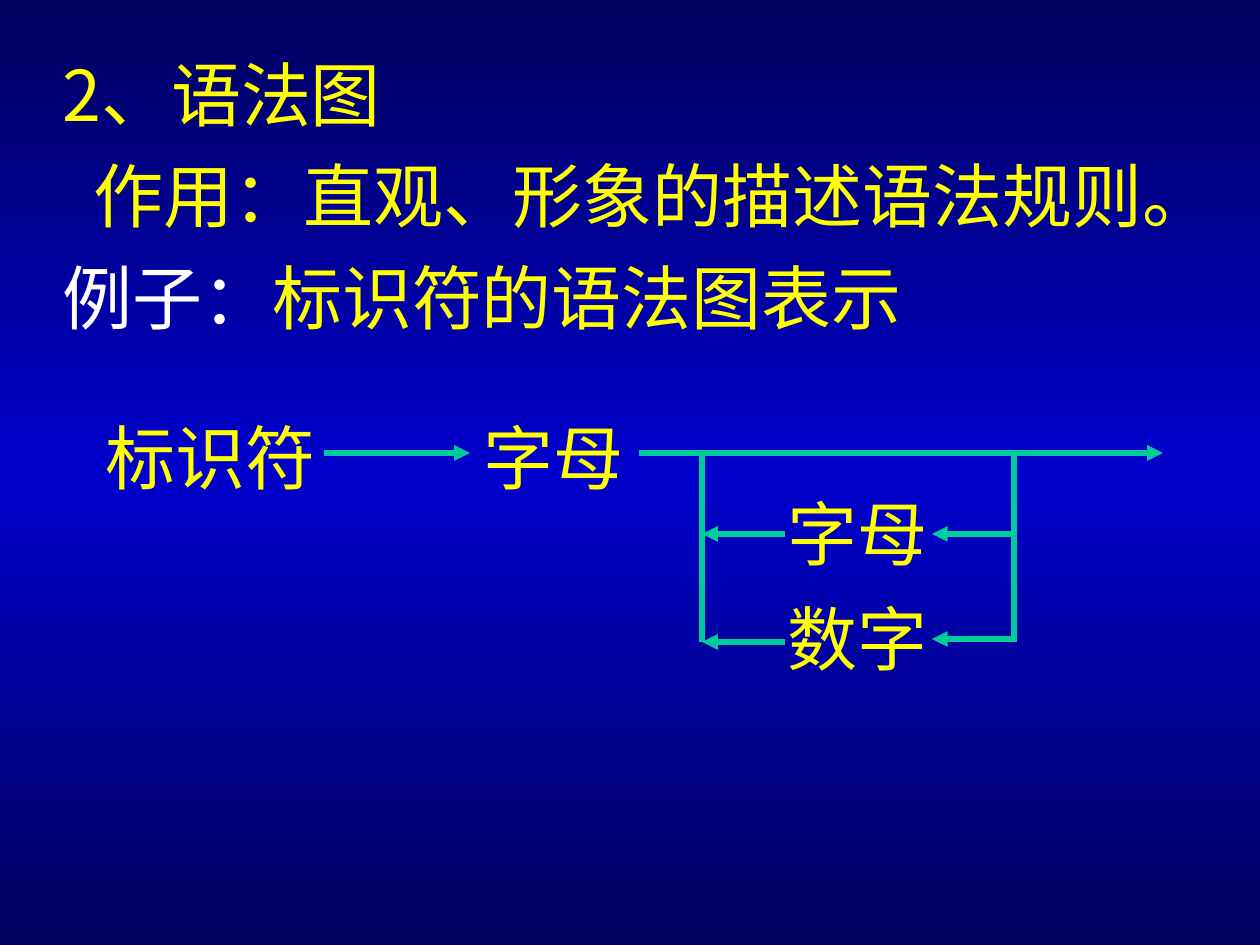
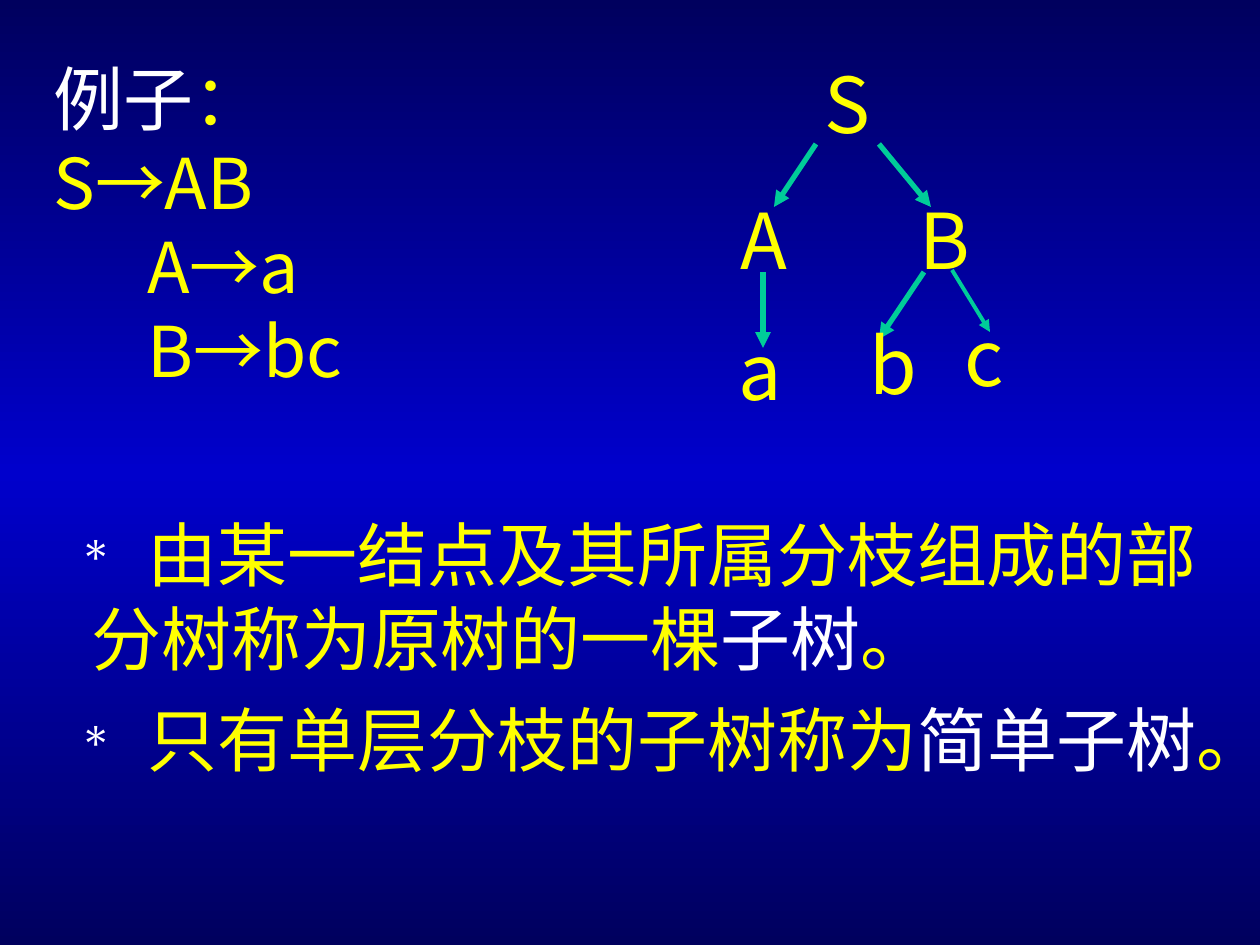
import copy

import pptx
import pptx.dml.color
import pptx.enum.shapes
import pptx.enum.text
import pptx.oxml
import pptx.oxml.ns
import pptx.util

PX = 914400 / 126
COLORS = {"edge": "00005E", "middle": "0000CC", "text": "FFFF00",
          "accent": "FFFFFF", "line": "00CC99"}
SANS, SERIF = "Noto Sans CJK SC", "Times New Roman"
RULE_SPACING = {"space_before": pptx.util.Pt(5), "space_after": pptx.util.Pt(5)}


def px(value):
    return pptx.util.Emu(round(value * PX))


def rgb(name):
    return pptx.dml.color.RGBColor.from_string(COLORS[name])


def apply(target, values):
    for name, value in values.items():
        setattr(target, name, value)


def paint_background(master):
    fill = master.background.fill
    fill.gradient()
    fill.gradient_angle = 270
    stop_list = master.element.find(".//" + pptx.oxml.ns.qn("a:gsLst"))
    stop_list.append(copy.deepcopy(stop_list[0]))
    steps = ((0, "edge"), (0.5, "middle"), (1, "edge"))
    for stop, (position, color) in zip(fill.gradient_stops, steps):
        stop.position = position
        stop.color.rgb = rgb(color)


def add_text(slide, box, paragraphs, size=40, font=SANS, wrap=True, spacing=None):
    """Write paragraphs, each a list of (text, color name) runs."""
    shape = slide.shapes.add_textbox(*map(px, box))
    frame = shape.text_frame
    apply(frame, {"word_wrap": wrap,
                  "vertical_anchor": pptx.enum.text.MSO_ANCHOR.TOP})
    for index, runs in enumerate(paragraphs):
        paragraph = frame.add_paragraph() if index else frame.paragraphs[0]
        apply(paragraph, spacing or {})
        for text, color in runs:
            run = paragraph.add_run()
            run.text = text
            apply(run.font, {"size": pptx.util.Pt(size), "name": font})
            run.font.color.rgb = rgb(color)
    return frame


def indent(paragraph, margin, first_line=0):
    properties = paragraph._p.get_or_add_pPr()
    properties.set("marL", str(px(margin)))
    properties.set("indent", str(px(first_line)))
    return properties


def add_bullet(paragraph):
    """Add a small white asterisk and widen the space that follows it."""
    properties = indent(paragraph, 30, -12)
    namespace = pptx.oxml.ns.nsdecls("a")
    for xml in (f'<a:buClr {namespace}><a:srgbClr val="{COLORS["accent"]}"/></a:buClr>',
                f'<a:buSzPct {namespace} val="65000"/>',
                f'<a:buChar {namespace} char="∗"/>'):
        properties.append(pptx.oxml.parse_xml(xml))
    paragraph.runs[0]._r.get_or_add_rPr().set("spc", "1140")


def add_line(slide, origin, start, end, arrow=True, width=3):
    left, top = origin
    connector = slide.shapes.add_connector(
        pptx.enum.shapes.MSO_CONNECTOR.STRAIGHT,
        px(left + start[0]), px(top + start[1]), px(left + end[0]), px(top + end[1]))
    connector.line.width = pptx.util.Pt(width)
    connector.line.color.rgb = rgb("line")
    namespace = pptx.oxml.ns.nsdecls("a")
    if arrow:
        connector.line._get_or_add_ln().append(
            pptx.oxml.parse_xml(f'<a:tailEnd {namespace} type="triangle"/>'))
    connector._element.spPr.append(pptx.oxml.parse_xml(f"<a:effectLst {namespace}/>"))


def add_syntax_diagram(slide, origin):
    """Draw the identifier rule: one letter, then looped letters or digits."""
    left, top = origin
    for text, x, y, width in (("标识符", 0, 0, 240), ("字母", 378, 0, 168),
                              ("字母", 682, 76, 168), ("数字", 682, 181, 168)):
        add_text(slide, (left + x, top + y, width, 97), [[(text, "text")]],
                 font=SERIF, wrap=False)
    main, bottom, loop_left, loop_right = 45, 234, 609, 921
    for start, end in ((231, 377), (546, 1070)):
        add_line(slide, origin, (start, main), (end, main))
    for x in (loop_left, loop_right):
        add_line(slide, origin, (x, main), (x, bottom), arrow=False)
    for left_y, right_y in ((126, 126), (bottom, 231)):
        add_line(slide, origin, (692, left_y), (loop_left, left_y))
        add_line(slide, origin, (loop_right + 2, right_y), (839, right_y))


def add_syntax_tree(slide, origin):
    left, top = origin
    for start, end, width in (((90, 94), (48, 157), 3), ((153, 94), (205, 157), 3),
                              ((226, 220), (264, 282), 2.25),
                              ((37, 222), (37, 298), 3), ((198, 222), (153, 289), 3)):
        add_line(slide, origin, start, end, width=width)
    for node, x, y in (("S", 86, 0), ("A", 2, 136), ("B", 181, 136),
                       ("a", 0, 267), ("b", 131, 261), ("c", 226, 253)):
        add_text(slide, (left + x, top + y, 72, 106), [[(node, "text")]],
                 size=44, wrap=False)


def build_syntax_diagram_slide(slide):
    intro = add_text(slide, (50, 45, 1213, 300), [
        [("2、语法图", "text")],
        [("作用：直观、形象的描述语法规则。", "text")],
        [("例子：", "accent"), ("标识符的语法图表示", "text")],
    ], spacing=RULE_SPACING)
    indent(intro.paragraphs[1], 31)
    add_syntax_diagram(slide, (93, 408))


def build_subtree_slide(slide):
    definitions = add_text(slide, (49, 505, 1211, 366), [
        [(" ", "text"), ("由某一结点及其所属分枝组成的部分树称为原树的一棵", "text"),
         ("子树", "accent"), ("。", "text")],
        [(" ", "text"), ("只有单层分枝的子树称为", "text"),
         ("简单子树", "accent"), ("。", "text")],
    ], spacing=RULE_SPACING)
    for paragraph in definitions.paragraphs:
        add_bullet(paragraph)
    grammar = add_text(slide, (41, 49, 426, 349), [
        [("例子", "accent"), ("：", "text")],
        [("S→AB", "text")], [("A→a", "text")], [("B→bc", "text")],
    ])
    for paragraph in grammar.paragraphs[2:]:
        indent(paragraph, 94)
    add_syntax_tree(slide, (726, 50))


def main():
    presentation = pptx.Presentation()
    apply(presentation, {"slide_width": px(1260), "slide_height": px(945)})
    paint_background(presentation.slide_master)
    blank = presentation.slide_layouts[6]
    for build in (build_syntax_diagram_slide, build_subtree_slide):
        build(presentation.slides.add_slide(blank))
    presentation.save("out.pptx")


if __name__ == "__main__":
    main()
